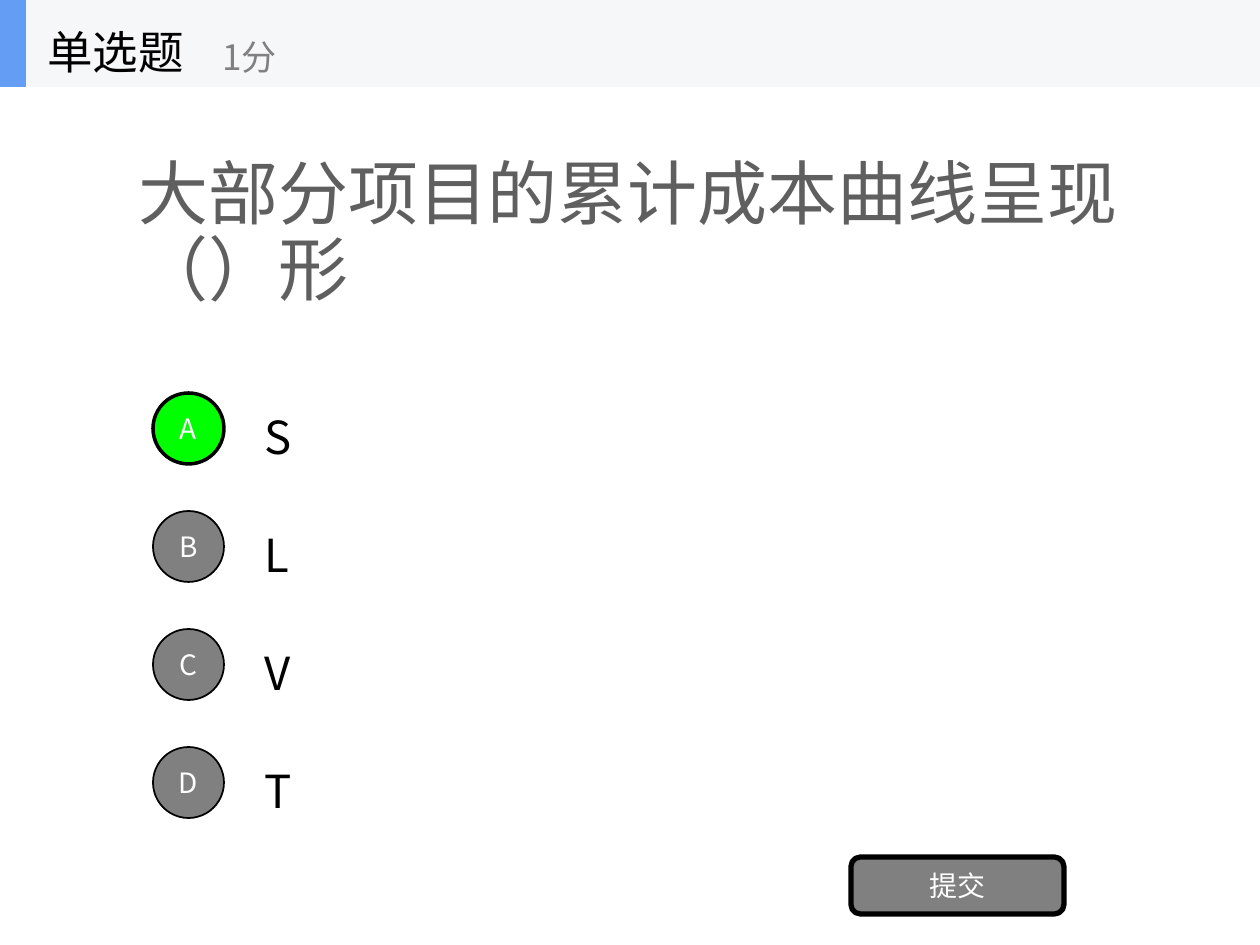
"""Build a single-choice quiz slide with four options and a submit button."""
import pptx
import pptx.util
import pptx.dml.color
import pptx.enum.shapes
import pptx.enum.text
import lxml.etree
from pptx.oxml.ns import qn

SCALE = 914400 / 126
FONT = "Noto Sans CJK SC"
COLORS = {
    "black": "000000", "white": "FFFFFF", "question": "5F5F5F", "gray": "808080",
    "correct": "00FF00", "header": "F6F7F8", "accent": "639EF4",
}
SHAPES = pptx.enum.shapes.MSO_SHAPE

presentation = pptx.Presentation()
presentation.slide_width = round(1260 * SCALE)
presentation.slide_height = round(945 * SCALE)
slide = presentation.slides.add_slide(presentation.slide_layouts[6])


def write_text(shape, text, size, color, spacing=None, centered=False):
    frame = shape.text_frame
    frame.word_wrap = True
    frame.vertical_anchor = pptx.enum.text.MSO_ANCHOR.MIDDLE
    paragraph = frame.paragraphs[0]
    paragraph.text = text
    paragraph.line_spacing = spacing
    if centered:
        frame.margin_left = frame.margin_right = 0
        paragraph.alignment = pptx.enum.text.PP_ALIGN.CENTER
    paragraph.font.size = pptx.util.Pt(size)
    paragraph.font.color.rgb = pptx.dml.color.RGBColor.from_string(COLORS[color])
    paragraph.font.name = FONT
    properties = paragraph._p.pPr.find(qn("a:defRPr"))
    lxml.etree.SubElement(properties, qn("a:ea")).set("typeface", FONT)


def add_box(kind, box, fill, line_width=0):
    shape = slide.shapes.add_shape(kind, *[round(value * SCALE) for value in box])
    shape.shadow.inherit = False
    shape.fill.solid()
    shape.fill.fore_color.rgb = pptx.dml.color.RGBColor.from_string(COLORS[fill])
    if line_width:
        shape.line.width = pptx.util.Pt(line_width)
        shape.line.color.rgb = pptx.dml.color.RGBColor.from_string(COLORS["black"])
    else:
        shape.line.fill.background()
    return shape


add_box(SHAPES.RECTANGLE, (0, 0, 1260, 87), "header")
add_box(SHAPES.RECTANGLE, (0, 0, 26, 87), "accent")

labels = [
    ((126, 87, 1008, 295), "大部分项目的累计成本曲线呈现（）形", 40, "question", 0.9),
    ((35, 0, 262, 87), "单选题", 26, "black", 1.3),
    ((210, 15, 315, 71), "1分", 20, "gray", 1.3),
]
for row, (letter, answer) in enumerate(zip("ABCD", "SLVT")):
    top = 384 + 118 * row
    labels.append(((252, top, 882, 88), answer, 26, "black", 1.3))
    fill, line_width = ("correct", 2) if letter == "A" else ("gray", 1)
    circle = add_box(SHAPES.OVAL, (153, top + 9, 71, 71), fill, line_width)
    write_text(circle, letter, 16, "white", centered=True)

for box, text, size, color, spacing in labels:
    label = slide.shapes.add_textbox(*[round(value * SCALE) for value in box])
    write_text(label, text, size, color, spacing)

button = add_box(SHAPES.ROUNDED_RECTANGLE, (851, 857, 213, 57), "gray", 3)
write_text(button, "提交", 16, "white", centered=True)

presentation.save("out.pptx")
